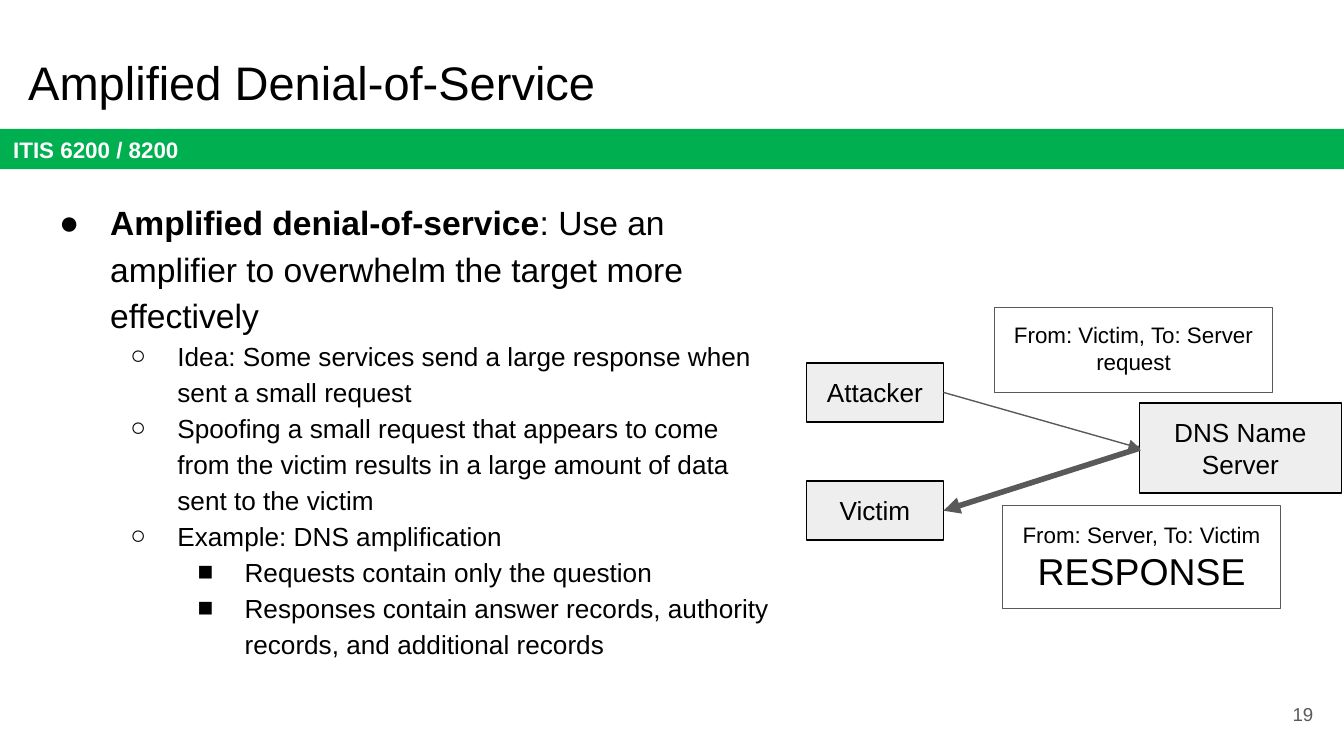
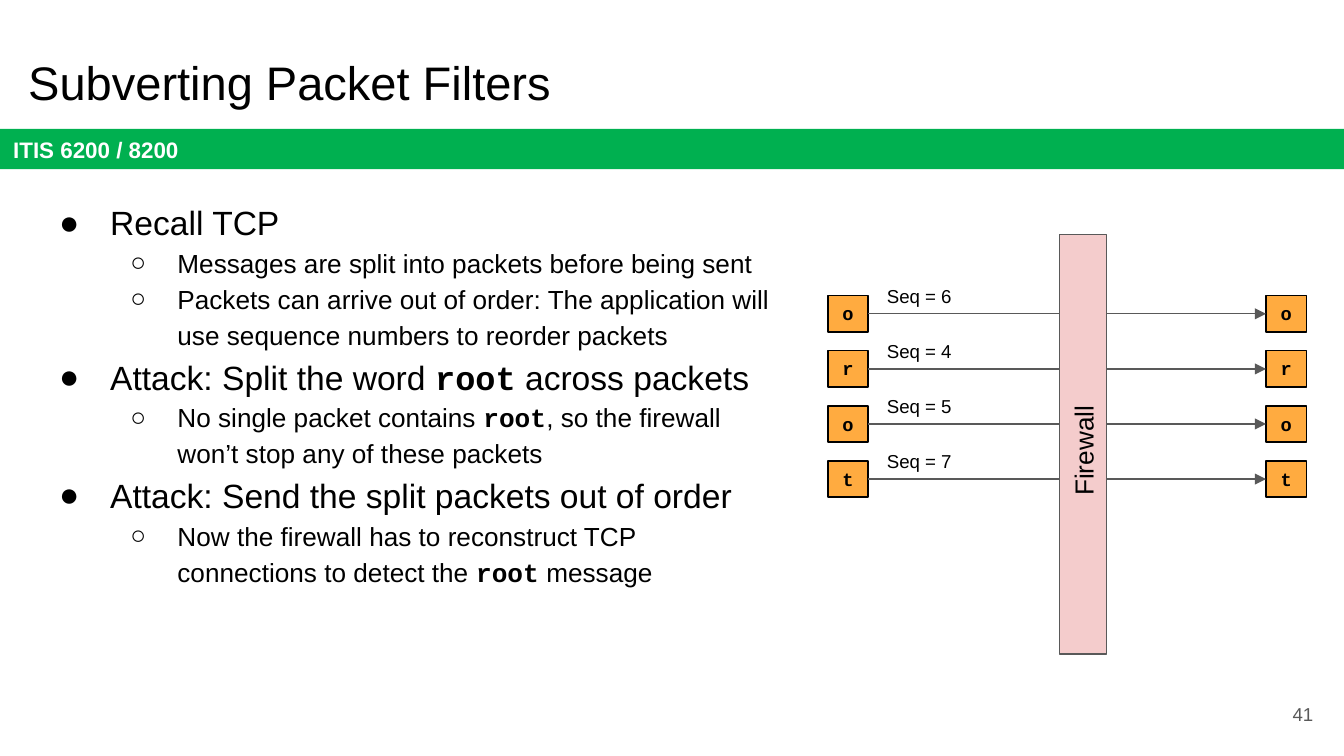
import lxml.etree
import pptx
import pptx.dml.color
import pptx.enum.shapes
import pptx.enum.text
import pptx.oxml.ns
import pptx.util

Inches = pptx.util.Inches
Pt = pptx.util.Pt
ALIGN = pptx.enum.text.PP_ALIGN
ANCHOR = pptx.enum.text.MSO_ANCHOR
qn = pptx.oxml.ns.qn

BLACK, WHITE, GRAY = "000000", "FFFFFF", "595959"
GREEN, SILVER, ORANGE, PINK = "00B050", "EEEEEE", "FFAB40", "F4CCCC"
SANS, MONO = "Arial", "Courier New"

LEVELS = [("●", 0.5, 0.38, 18), ("○", 1, 0.35, 14), ("■", 1.5, 0.35, 14)]


def rgb(color):
    return pptx.dml.color.RGBColor.from_string(color)


def add_run(p, text, size, color=BLACK, font=SANS, bold=False):
    r = p.add_run()
    r.text = text
    r.font.size = Pt(size)
    r.font.name = font
    r.font.bold = bold
    r.font.color.rgb = rgb(color)


def set_frame(sp, anchor=ANCHOR.TOP, inset=0.1):
    tf = sp.text_frame
    tf.word_wrap = True
    tf.auto_size = pptx.enum.text.MSO_AUTO_SIZE.NONE
    tf.vertical_anchor = anchor
    tf.margin_left = tf.margin_right = Inches(inset)
    tf.margin_top = tf.margin_bottom = Inches(inset)
    return tf


def write_lines(tf, lines, align, **style):
    for i, (text, size) in enumerate(lines):
        p = tf.add_paragraph() if i else tf.paragraphs[0]
        p.alignment = align
        add_run(p, text, size, **style)


def place(sp, box):
    sp.left, sp.top, sp.width, sp.height = map(Inches, box)


def add_box(slide, box, lines, fill, line=BLACK, anchor=ANCHOR.TOP,
            inset=0.1, align=ALIGN.CENTER, **style):
    sp = slide.shapes.add_shape(
        pptx.enum.shapes.MSO_SHAPE.RECTANGLE, *map(Inches, box))
    sp.shadow.inherit = False
    sp.fill.solid()
    sp.fill.fore_color.rgb = rgb(fill)
    if line:
        sp.line.color.rgb = rgb(line)
        sp.line.width = Pt(0.75)
    else:
        sp.line.fill.background()
    write_lines(set_frame(sp, anchor, inset), lines, align, **style)
    return sp


def add_label(slide, box, text, align=ALIGN.LEFT, anchor=ANCHOR.TOP,
              inset=0.05, color=BLACK):
    sp = slide.shapes.add_textbox(*map(Inches, box))
    write_lines(set_frame(sp, anchor, inset), [(text, 10)], align, color=color)


def add_arrow(slide, start, start_side, end, end_side, width=0.75):
    cx = slide.shapes.add_connector(
        pptx.enum.shapes.MSO_CONNECTOR.STRAIGHT, 0, 0, 0, 0)
    cx.begin_connect(start, start_side)
    cx.end_connect(end, end_side)
    cx.line.color.rgb = rgb(GRAY)
    cx.line.width = Pt(width)
    ln = cx._element.spPr.find(qn("a:ln"))
    lxml.etree.SubElement(ln, qn("a:tailEnd"), type="triangle")
    lxml.etree.SubElement(cx._element.spPr, qn("a:effectLst"))


def format_bullet(p, level):
    char, margin, hang, _ = LEVELS[level]
    p.level = level
    p.alignment = ALIGN.LEFT
    p.line_spacing = 1.15
    p.space_before = p.space_after = Pt(0)
    pPr = p._p.get_or_add_pPr()
    pPr.set("marL", str(Inches(margin)))
    pPr.set("indent", str(-Inches(hang)))
    bu_clr = lxml.etree.SubElement(pPr, qn("a:buClr"))
    lxml.etree.SubElement(bu_clr, qn("a:srgbClr"), val=BLACK)
    lxml.etree.SubElement(pPr, qn("a:buFont"), typeface=SANS)
    lxml.etree.SubElement(pPr, qn("a:buChar"), char=char)


def add_bullets(sp, box, items):
    place(sp, box)
    tf = set_frame(sp)
    for i, (level, *runs) in enumerate(items):
        p = tf.add_paragraph() if i else tf.paragraphs[0]
        format_bullet(p, level)
        for run in runs:
            text, style = (run, {}) if isinstance(run, str) else run
            add_run(p, text, LEVELS[level][3], **style)


def add_content_slide(prs, title, items, number):
    slide = prs.slides.add_slide(prs.slide_layouts[1])
    place(slide.shapes.title, (0.11, 0.3, 9.32, 0.63))
    write_lines(set_frame(slide.shapes.title), [(title, 25.2)], ALIGN.LEFT)
    add_box(slide, (0, 0.96, 10, 0.3), [("ITIS 6200 / 8200", 12)], GREEN, None,
            ANCHOR.MIDDLE, align=ALIGN.LEFT, color=WHITE, bold=True)
    add_bullets(slide.placeholders[1], (0.22, 1.36, 5.62, 4.12), items)
    add_label(slide, (9.27, 5.1, 0.6, 0.43), str(number), ALIGN.RIGHT,
              ANCHOR.MIDDLE, 0.1, GRAY)
    return slide


def add_amplification_diagram(slide, left, top):
    attacker, server, victim = [
        add_box(slide, (left + x, top + y, w, h), [(name, 14)], SILVER)
        for name, x, y, w, h in [
            ("Attacker", 0, 0.41, 1.02, 0.44),
            ("DNS Name Server", 2.48, 0.71, 1.5, 0.67),
            ("Victim", 0, 1.29, 1.02, 0.44),
        ]
    ]
    add_arrow(slide, attacker, 3, server, 1)
    add_box(slide, (left + 1.4, top, 2.07, 0.63),
            [("From: Victim, To: Server", 12), ("request", 12)], WHITE, GRAY)
    add_arrow(slide, server, 1, victim, 3, 3)
    add_box(slide, (left + 1.46, top + 1.47, 2.07, 0.77),
            [("From: Server, To: Victim", 12), ("RESPONSE", 20)], WHITE, GRAY,
            ANCHOR.MIDDLE)


def add_firewall_diagram(slide, left, top):
    packets = [("o", 6), ("r", 4), ("o", 5), ("t", 7)]
    for i, (letter, seq) in enumerate(packets):
        y = top + 0.41 * i
        sent, received = [
            add_box(slide, (x, y, 0.3, 0.27), [(letter, 10)], ORANGE,
                    inset=0.05, font=MONO, bold=True)
            for x in (left, left + 3.26)
        ]
        add_arrow(slide, sent, 3, received, 1)
        add_label(slide, (left + 0.39, y - 0.13, 1.34, 0.27), f"Seq = {seq}")
    firewall = add_box(slide, (left + 0.34, top + 0.93, 3.12, 0.35),
                       [("Firewall", 14)], PINK, GRAY, ANCHOR.MIDDLE)
    firewall.text_frame.margin_left = 0
    firewall.rotation = 270


def main():
    prs = pptx.Presentation()
    prs.slide_width = Inches(10)
    prs.slide_height = prs.slide_width * 9 // 16

    slide = add_content_slide(prs, "Amplified Denial-of-Service", [
        (0, ("Amplified denial-of-service", {"bold": True}),
         ": Use an amplifier to overwhelm the target more effectively"),
        (1, "Idea: Some services send a large response when sent a small request"),
        (1, "Spoofing a small request that appears to come from the victim "
            "results in a large amount of data sent to the victim"),
        (1, "Example: DNS amplification"),
        (2, "Requests contain only the question"),
        (2, "Responses contain answer records, authority records, "
            "and additional records"),
    ], 19)
    add_amplification_diagram(slide, 6, 2.29)

    root = ("root", {"font": MONO, "bold": True})
    slide = add_content_slide(prs, "Subverting Packet Filters", [
        (0, "Recall TCP"),
        (1, "Messages are split into packets before being sent"),
        (1, "Packets can arrive out of order: The application will use "
            "sequence numbers to reorder packets"),
        (0, "Attack: Split the word ", root, " across packets"),
        (1, "No single packet contains ", root,
         ", so the firewall won’t stop any of these packets"),
        (0, "Attack: Send the split packets out of order"),
        (1, "Now the firewall has to reconstruct TCP connections to detect the ",
         root, " message"),
    ], 41)
    add_firewall_diagram(slide, 6.16, 2.2)

    prs.save("out.pptx")


if __name__ == "__main__":
    main()
